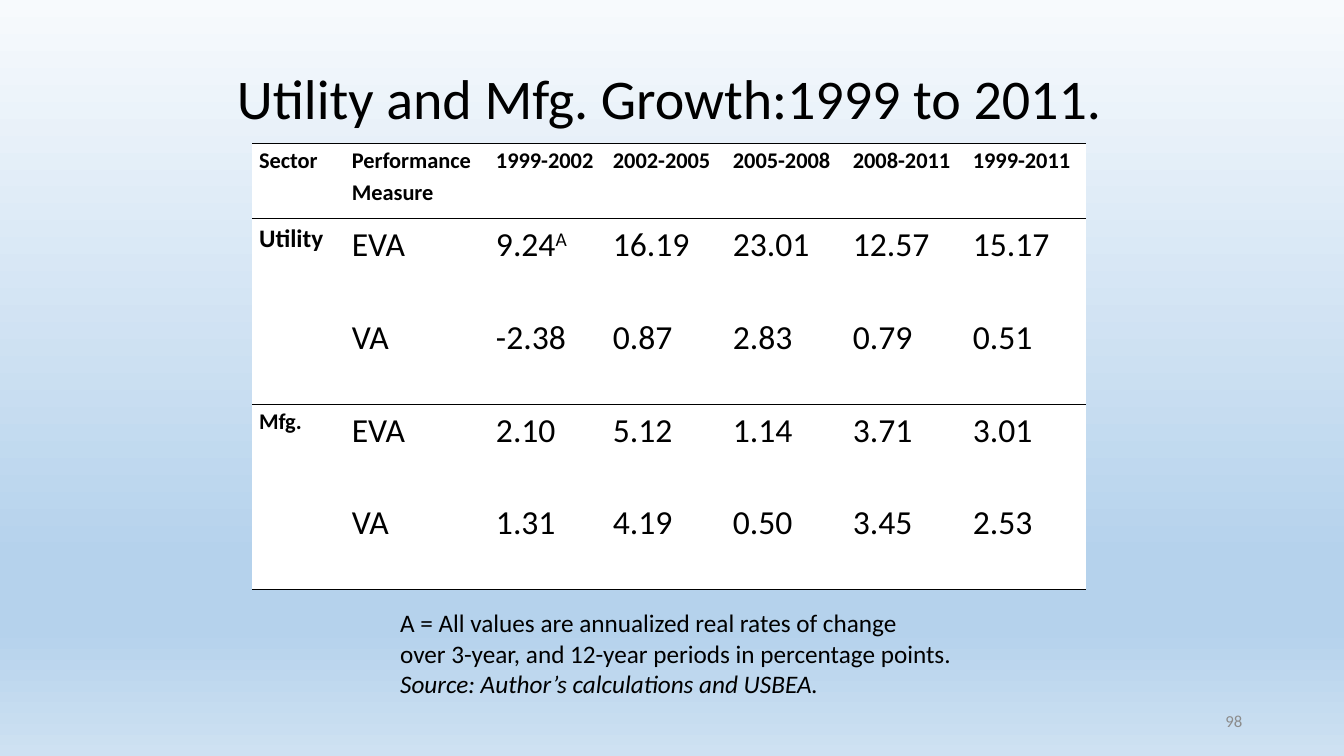
from lxml.etree import SubElement
from pptx import Presentation
from pptx.dml.color import RGBColor as Color
from pptx.enum.text import MSO_ANCHOR as Anchor, MSO_AUTO_SIZE as AutoSize, PP_ALIGN as Align
from pptx.oxml import parse_xml
from pptx.oxml.ns import nsdecls, qn
from pptx.util import Inches, Pt

COLORS = {"black": "000000", "white": "FFFFFF", "gray": "8C8C8C",
          "top": "F7FAFD", "band": "B5D2EC", "bottom": "CEE1F2"}


def style(paragraph, size, color="black", bold=False, italic=False):
    for run in paragraph.runs:
        font = run.font
        font.name, font.size, font.bold, font.italic = "Calibri", Pt(size), bold, italic
        font.color.rgb = Color.from_string(COLORS[color])


def add_border(cell, side):
    cell._tc.get_or_add_tcPr().insert(0, parse_xml(
        f'<a:{side} {nsdecls("a")} w="12700"><a:solidFill>'
        f'<a:srgbClr val="{COLORS["black"]}"/></a:solidFill></a:{side}>'))


presentation = Presentation()
presentation.slide_width, presentation.slide_height = Inches(13.33), Inches(7.5)
slide = presentation.slides.add_slide(presentation.slide_layouts[5])

background = slide.background.fill
background.gradient()
background.gradient_angle = 270
stops = next(slide.element.iter(qn("a:gsLst")))
for stop in list(stops):
    stops.remove(stop)
for position, name in [(0, "top"), (74, "band"), (83, "band"), (100, "bottom")]:
    stop = SubElement(stops, qn("a:gs"), pos=str(position * 1000))
    SubElement(stop, qn("a:srgbClr"), val=COLORS[name])

rows = [
    ["Sector", "Performance\nMeasure", "1999-2002", "2002-2005", "2005-2008", "2008-2011", "1999-2011"],
    ["Utility", "EVA", "9.24", "16.19", "23.01", "12.57", "15.17"],
    ["", "VA", "-2.38", "0.87", "2.83", "0.79", "0.51"],
    ["Mfg.", "EVA", "2.10", "5.12", "1.14", "3.71", "3.01"],
    ["", "VA", "1.31", "4.19", "0.50", "3.45", "2.53"],
]
column_widths = [0.92, 1.43, 1.16] + [1.19] * 4
row_heights = [0.75] + [0.92] * 4
table = slide.shapes.add_table(
    len(rows), len(column_widths), Inches(2.5), Inches(1.42),
    Inches(sum(column_widths)), Inches(sum(row_heights))).table
next(table._tbl.iter(qn("a:tableStyleId"))).text = "{2D5ABB26-0587-4C30-8999-92F81FD0307C}"
for column, width in zip(table.columns, column_widths):
    column.width = Inches(width)
for row, height in zip(table.rows, row_heights):
    row.height = Inches(height)

for row_index, values in enumerate(rows):
    for column_index, value in enumerate(values):
        cell = table.cell(row_index, column_index)
        cell.margin_left = cell.margin_right = Inches(0.07)
        cell.margin_top = cell.margin_bottom = 0
        cell.fill.solid()
        cell.fill.fore_color.rgb = Color.from_string(COLORS["white"])
        if row_index % 2 == 0:
            add_border(cell, "lnB")
        if row_index == 0:
            add_border(cell, "lnT")
        cell.text_frame.text = value
        heading = row_index == 0 or column_index == 0
        size = 18 if value == "Utility" else 16 if heading else 24
        for paragraph in cell.text_frame.paragraphs:
            paragraph.line_spacing = 1.15
            style(paragraph, size, bold=heading)

first_value = table.cell(1, 2).text_frame.paragraphs[0]
marker = first_value.add_run()
marker.text = "A"
style(first_value, 24)
marker._r.get_or_add_rPr().set("baseline", "30000")

title = slide.shapes.title
title.text_frame.text = "Utility and Mfg. Growth:1999 to 2011."
note = slide.shapes.add_textbox(0, 0, 0, 0)
note.text_frame.text = (
    "A = All values are annualized real rates of change\n"
    "over 3-year, and 12-year periods in percentage points.\n"
    "Source: Author’s calculations and USBEA.")
page_number = slide.shapes.add_textbox(0, 0, 0, 0)
page_number.text_frame.text = "98"

for shape, box, size, color, anchor, alignment in [
    (title, (2.25, 0.58, 8.87, 0.77), 40, "black", Anchor.TOP, Align.LEFT),
    (note, (3.87, 5.98, 5.79, 1.01), 18, "black", Anchor.TOP, Align.LEFT),
    (page_number, (9.42, 6.95, 3, 0.4), 12, "gray", Anchor.MIDDLE, Align.RIGHT),
]:
    shape.left, shape.top, shape.width, shape.height = map(Inches, box)
    frame = shape.text_frame
    frame.word_wrap = shape is page_number
    frame.auto_size = AutoSize.NONE if shape is page_number else AutoSize.SHAPE_TO_FIT_TEXT
    frame.vertical_anchor = anchor
    for paragraph in frame.paragraphs:
        paragraph.alignment = alignment
        style(paragraph, size, color, italic=paragraph.text.startswith("Source"))

presentation.save("out.pptx")
